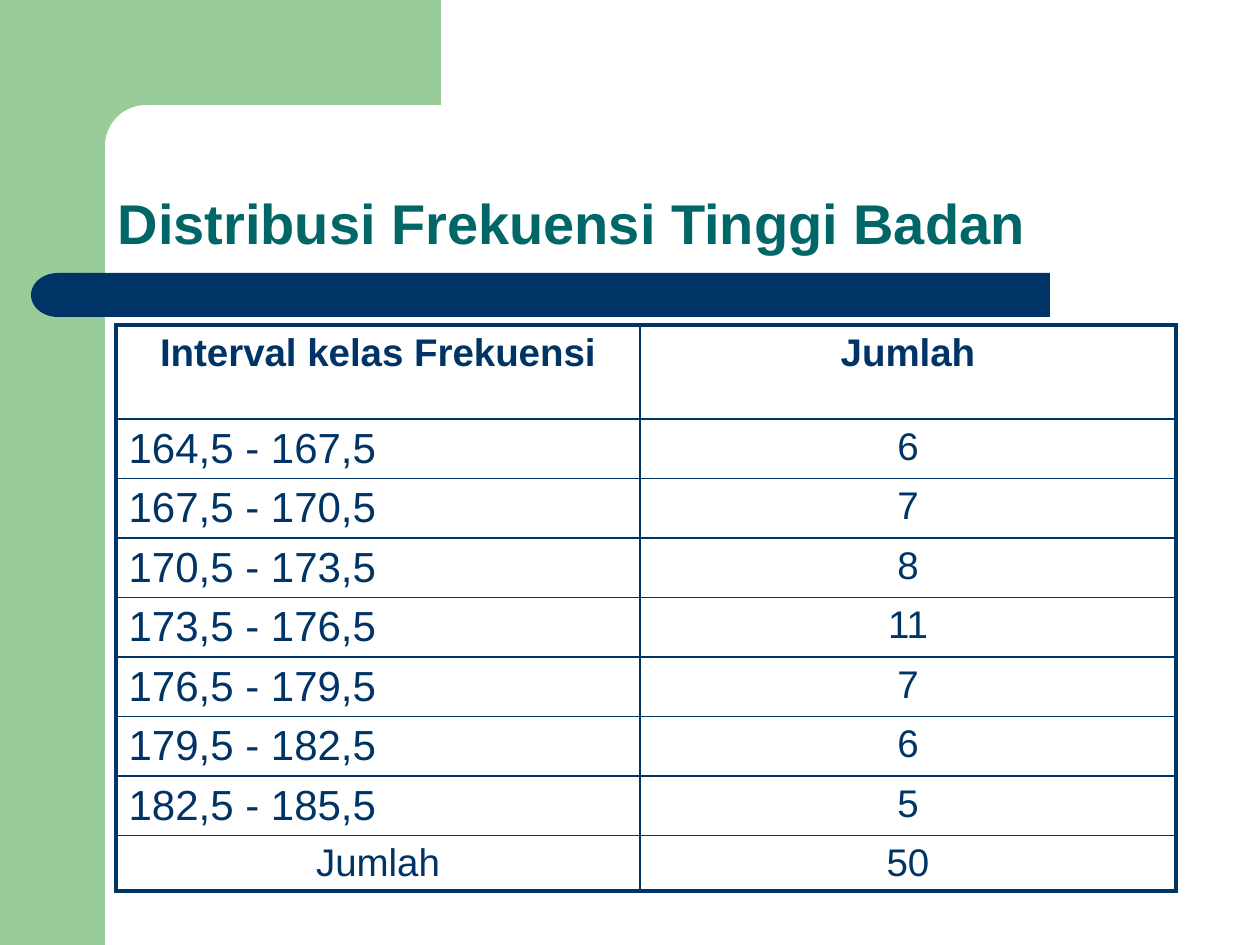
from math import cos, pi, sin
from lxml.etree import SubElement
from pptx import Presentation
from pptx.dml.color import RGBColor
from pptx.enum.shapes import MSO_SHAPE
from pptx.enum.text import MSO_ANCHOR, MSO_AUTO_SIZE, PP_ALIGN
from pptx.oxml.ns import qn
from pptx.util import Pt

PX = 7257.14  # EMU in one px, at 126 px to the inch
FONT = "Arial"
COLORS = {"green": "99CC99", "navy": "003366", "teal": "006666"}
TITLE = "Distribusi Frekuensi Tinggi Badan"
ROWS = [
    ("Interval kelas Frekuensi", "Jumlah"),
    ("164,5 - 167,5", "6"),
    ("167,5 - 170,5", "7"),
    ("170,5 - 173,5", "8"),
    ("173,5 - 176,5", "11"),
    ("176,5 - 179,5", "7"),
    ("179,5 - 182,5", "6"),
    ("182,5 - 185,5", "5"),
    ("Jumlah", "50"),
]
WIDTHS = [524, 536]
HEIGHTS = [94] + [59] * 7 + [55]
THICK, THIN = 2.25, 1


def px(*nums):
    return [round(n * PX) for n in nums]


def paint(shape, color):
    shape.shadow.inherit = False
    shape.fill.solid()
    shape.fill.fore_color.rgb = RGBColor.from_string(COLORS[color])
    shape.line.fill.background()


def block(kind, box, color):
    shape = slide.shapes.add_shape(kind, *px(*box))
    paint(shape, color)
    return shape


def style(par, size, color, bold, align):
    par.alignment = align
    for run in par.runs:
        font = run.font
        font.name, font.size, font.bold = FONT, Pt(size), bold
        font.color.rgb = RGBColor.from_string(COLORS[color])


def border(cell, sides):
    """Draw the cell's edges; sides maps L, R, T, B to a width in points."""
    props = cell._tc.get_or_add_tcPr()
    for at, (side, width) in enumerate(sides.items()):
        line = SubElement(props, qn("a:ln" + side), w=str(Pt(width)))
        fill = SubElement(line, qn("a:solidFill"))
        SubElement(fill, qn("a:srgbClr"), val=COLORS["navy"])
        props.insert(at, line)


deck = Presentation()
deck.slide_width, deck.slide_height = px(1260, 945)
slide = deck.slides.add_slide(deck.slide_layouts[5])

# Green frame with a rounded inner corner
block(MSO_SHAPE.RECTANGLE, (0, 0, 105, 945), "green")
mid, rad, steps = 146, 41, 12
turns = [pi / 2 * n / steps for n in range(steps + 1)]
arc = [(mid - rad * sin(t), mid - rad * cos(t)) for t in turns]
edge = [(441, 105), *arc, (105, 161), (63, 161), (63, 0)]
pen = slide.shapes.build_freeform(*px(441, 0), scale=1.0)
pen.add_line_segments([px(*point) for point in edge], close=True)
paint(pen.convert_to_shape(), "green")

# Navy bar with a round left end
block(MSO_SHAPE.RECTANGLE, (84, 273, 966, 44), "navy")
cap = block(MSO_SHAPE.FLOWCHART_DELAY, (31, 273, 54, 44), "navy")
cap._element.spPr.find(qn("a:xfrm")).set("flipH", "1")

# Title
title = slide.shapes.title
title.left, title.top, title.width, title.height = px(105, 158, 1092, 105)
frame = title.text_frame
frame.text = TITLE
frame.word_wrap = True
frame.auto_size = MSO_AUTO_SIZE.NONE
frame.vertical_anchor = MSO_ANCHOR.BOTTOM
frame.paragraphs[0].line_spacing = 0.9
style(frame.paragraphs[0], 32, "teal", True, PP_ALIGN.LEFT)

# Table
box = px(116, 325, sum(WIDTHS), sum(HEIGHTS))
table = slide.shapes.add_table(len(ROWS), len(WIDTHS), *box).table
for col, width in zip(table.columns, WIDTHS):
    col.width = px(width)[0]
for row, height in zip(table.rows, HEIGHTS):
    row.height = px(height)[0]
last = len(ROWS) - 1
for r, texts in enumerate(ROWS):
    for c, text in enumerate(texts):
        cell = table.cell(r, c)
        cell.text = text
        cell.fill.background()
        label = c == 0 and 0 < r < last
        align = PP_ALIGN.LEFT if label else PP_ALIGN.CENTER
        style(cell.text_frame.paragraphs[0], 24 if label else 22, "navy", r == 0, align)
        outer = {"L": c == 0, "R": c == 1, "T": r == 0, "B": r == last}
        border(cell, {side: THICK if out else THIN for side, out in outer.items()})

deck.save("out.pptx")
